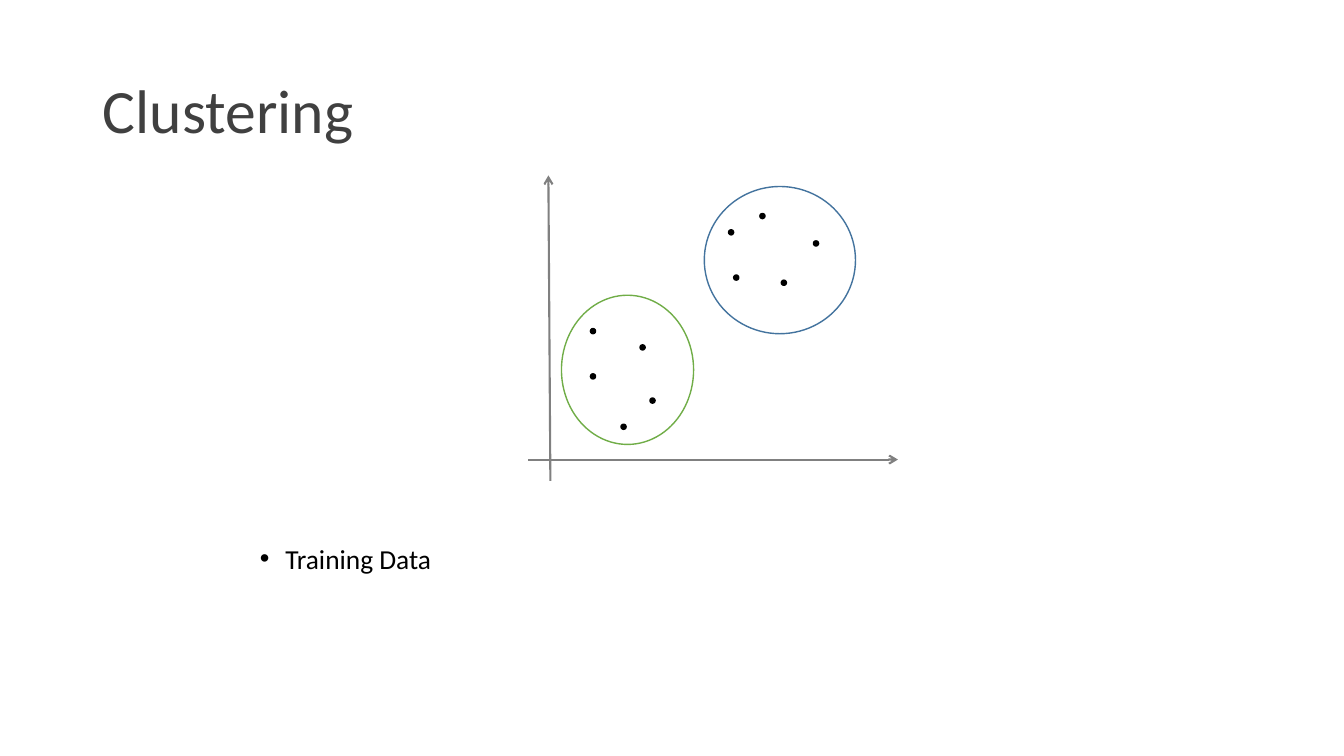
from dataclasses import dataclass

from lxml.etree import SubElement
from pptx import Presentation
from pptx.dml.color import RGBColor
from pptx.enum.shapes import MSO_CONNECTOR as Connector, MSO_SHAPE as Shape
from pptx.enum.text import MSO_ANCHOR as Anchor, MSO_AUTO_SIZE as AutoSize, PP_ALIGN as Align
from pptx.oxml.ns import qn
from pptx.util import Cm, Pt


@dataclass(frozen=True)
class Theme:
    """Colours, type sizes and line widths of the slide."""
    font: str = "Calibri"
    title_color: str = "404040"
    ink: str = "000000"
    axis: str = "808080"
    blue: str = "43739E"
    green: str = "70AD47"
    title_size: float = 44
    body_size: float = 19.6
    axis_width: float = 1.5
    outline_width: float = 1
    dot_size: float = 0.13


class SlideBuilder:
    """Draws styled elements on the current slide."""

    def __init__(self, slide, theme):
        """Keep the slide and its theme."""
        self.slide = slide
        self.theme = theme

    def add_text(self, paragraph, text, size, color, line_spacing):
        """Add one formatted run to a left-aligned paragraph."""
        paragraph.alignment = Align.LEFT
        paragraph.line_spacing = line_spacing
        run = paragraph.add_run()
        run.text = text
        run.font.name = self.theme.font
        run.font.size = Pt(size)
        run.font.color.rgb = RGBColor.from_string(color)

    def title(self, text, left, top, width, height):
        """Place and fill the title placeholder."""
        shape = self.slide.shapes.title
        shape.left, shape.top = Cm(left), Cm(top)
        shape.width, shape.height = Cm(width), Cm(height)
        frame = shape.text_frame
        frame.word_wrap = True
        frame.auto_size = AutoSize.NONE
        frame.vertical_anchor = Anchor.MIDDLE
        self.add_text(frame.paragraphs[0], text, self.theme.title_size, self.theme.title_color, 0.9)

    def bullet(self, text, left, top, width, height):
        """Add a text box with one bulleted line."""
        box = self.slide.shapes.add_textbox(Cm(left), Cm(top), Cm(width), Cm(height))
        box.text_frame.word_wrap = True
        paragraph = box.text_frame.paragraphs[0]
        properties = paragraph._p.get_or_add_pPr()
        properties.set("marL", str(Cm(0.64)))
        properties.set("indent", str(Cm(-0.64)))
        SubElement(properties, qn("a:buFont"), typeface="Arial")
        SubElement(properties, qn("a:buChar"), char="•")
        self.add_text(paragraph, text, self.theme.body_size, self.theme.ink, 0.7)

    def axis(self, start, end):
        """Add a straight axis with an arrowhead at its end."""
        ends = [Cm(value) for value in (*start, *end)]
        connector = self.slide.shapes.add_connector(Connector.STRAIGHT, *ends)
        connector.line.color.rgb = RGBColor.from_string(self.theme.axis)
        connector.line.width = Pt(self.theme.axis_width)
        properties = connector._element.spPr
        SubElement(properties.find(qn("a:ln")), qn("a:tailEnd"), type="arrow")
        SubElement(properties, qn("a:effectLst"))

    def ellipse(self, left, top, width, height, color, filled=False):
        """Add an ellipse that is outlined or solid."""
        shape = self.slide.shapes.add_shape(
            Shape.OVAL, Cm(left), Cm(top), Cm(width), Cm(height))
        shape.shadow.inherit = False
        shape.line.color.rgb = RGBColor.from_string(color)
        shape.line.width = Pt(self.theme.outline_width)
        if filled:
            shape.fill.solid()
            shape.fill.fore_color.rgb = RGBColor.from_string(color)
        else:
            shape.fill.background()

    def dot(self, left, top):
        """Add one data point."""
        size = self.theme.dot_size
        self.ellipse(left, top, size, size, self.theme.ink, filled=True)


def main():
    """Build and save the clustering slide."""
    presentation = Presentation()
    presentation.slide_width, presentation.slide_height = Cm(33.87), Cm(19.05)
    theme = Theme()
    slide = presentation.slides.add_slide(presentation.slide_layouts.get_by_name("Title Only"))
    builder = SlideBuilder(slide, theme)

    builder.title("Clustering", 2.34, 1.02, 29.21, 3.68)
    builder.bullet("Training Data", 6.3, 13.77, 14.86, 0.89)
    builder.axis((13.87, 12.12), (13.82, 4.42))
    builder.axis((13.31, 11.58), (22.63, 11.58))

    lower_points = [(14.88, 8.28), (16.13, 8.69), (16.38, 10.03), (14.88, 9.42), (15.65, 10.69)]
    upper_points = [(18.49, 6.93), (19.69, 7.06), (19.15, 5.38), (20.5, 6.07), (18.36, 5.79)]
    for point in lower_points + upper_points:
        builder.dot(*point)

    builder.ellipse(17.75, 4.7, 3.81, 3.71, theme.blue)
    builder.ellipse(14.15, 7.44, 3.33, 3.76, theme.green)
    presentation.save("out.pptx")


if __name__ == "__main__":
    main()
